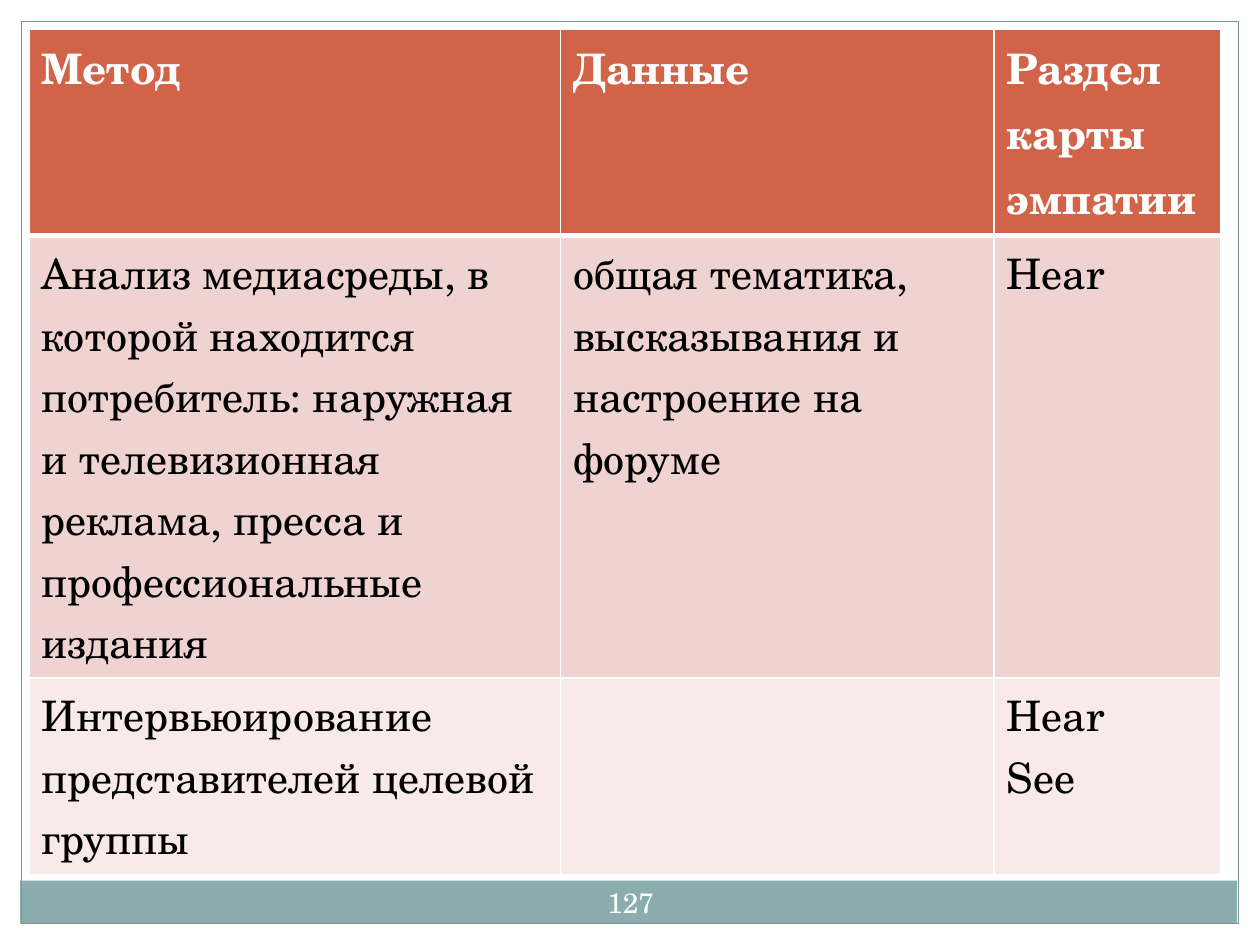
from typing import NamedTuple

from lxml.etree import SubElement
from pptx import Presentation
from pptx.dml.color import RGBColor
from pptx.enum.shapes import MSO_SHAPE as Preset
from pptx.enum.text import MSO_ANCHOR as Anchor, PP_ALIGN as Align
from pptx.oxml.ns import qn
from pptx.util import Inches, Pt

FONT = "TeX Gyre Schola"
WHITE = "FFFFFF"
BLACK = "000000"
TEAL = "8CADAE"
FRAME_TEAL = "7C999A"


class Panel(NamedTuple):
    """A plain rectangle of the slide frame, in inches."""
    left: float
    top: float
    width: float
    height: float
    fill: str | None = None
    line: str | None = None


class Row(NamedTuple):
    """A table row with its look; border widths are in points."""
    height: float
    fill: str
    color: str
    bold: bool
    top_border: float
    bottom_border: float
    texts: tuple[str, ...]


PANELS = [
    Panel(0, 0, 10, 0.17, WHITE),
    Panel(9.83, 0, 0.17, 7.5, WHITE),
    Panel(0, 0, 0.17, 7.5, WHITE),
    Panel(0.16, 6.99, 9.66, 0.34, TEAL),
    Panel(0.17, 0.17, 9.66, 7.16, line=FRAME_TEAL),
]
COLUMN_WIDTHS = (4.22, 3.44, 1.8)
ROWS = [
    Row(1.64, "D16349", WHITE, True, 1, 3,
        ("Метод", "Данные", "Раздел карты эмпатии")),
    Row(3.51, "EED3D0", BLACK, False, 3, 1,
        ("Анализ медиасреды, в которой находится потребитель: наружная и "
         "телевизионная реклама, пресса и профессиональные издания",
         "общая тематика, высказывания и настроение на форуме",
         "Hear")),
    Row(1.56, "F7EAE9", BLACK, False, 1, 1,
        ("Интервьюирование представителей целевой группы", "", "Hear\nSee")),
]


def rgb(color: str) -> RGBColor:
    """Turn a hex string into a colour."""
    return RGBColor.from_string(color)


def format_text(text_frame, size: float, color: str, bold: bool = False) -> None:
    """Set the font of every run in a text frame."""
    for paragraph in text_frame.paragraphs:
        for run in paragraph.runs:
            run.font.name = FONT
            run.font.size = Pt(size)
            run.font.bold = bold
            run.font.color.rgb = rgb(color)


def add_panel(slide, panel: Panel) -> None:
    """Draw one rectangle of the frame."""
    shape = slide.shapes.add_shape(
        Preset.RECTANGLE, *(Inches(length) for length in panel[:4]))
    shape.shadow.inherit = False
    if panel.fill:
        shape.fill.solid()
        shape.fill.fore_color.rgb = rgb(panel.fill)
    else:
        shape.fill.background()
    if panel.line:
        shape.line.color.rgb = rgb(panel.line)
        shape.line.width = Pt(0.75)
    else:
        shape.line.fill.background()


def add_page_number(slide, text: str) -> None:
    """Write the page number centred on the bottom band."""
    box = slide.shapes.add_textbox(
        Inches(4.67), Inches(6.92), Inches(0.67), Inches(0.48))
    text_frame = box.text_frame
    text_frame.word_wrap = True
    text_frame.vertical_anchor = Anchor.MIDDLE
    text_frame.margin_left = text_frame.margin_right = Inches(0.05)
    text_frame.text = text
    text_frame.paragraphs[0].alignment = Align.CENTER
    format_text(text_frame, 16, WHITE)


def add_border(cell, side: str, width: float) -> None:
    """Add a white border on one side (L, R, T or B) of a cell."""
    properties = cell._tc.get_or_add_tcPr()
    line = SubElement(properties, qn(f"a:ln{side}"), w=str(Pt(width)))
    fill = SubElement(line, qn("a:solidFill"))
    SubElement(fill, qn("a:srgbClr"), val=WHITE)


def fill_cell(cell, row: Row, text: str) -> None:
    """Give a cell its borders, fill and text."""
    borders = {"L": 1, "R": 1, "T": row.top_border, "B": row.bottom_border}
    for side, width in borders.items():
        add_border(cell, side, width)
    cell.fill.solid()
    cell.fill.fore_color.rgb = rgb(row.fill)
    cell.text_frame.text = text
    format_text(cell.text_frame, 24, row.color, row.bold)


def add_method_table(slide) -> None:
    """Build the table of methods, data and empathy map sections."""
    table = slide.shapes.add_table(
        len(ROWS), len(COLUMN_WIDTHS), Inches(0.23), Inches(0.23),
        Inches(sum(COLUMN_WIDTHS)), Inches(sum(row.height for row in ROWS))).table
    for column, width in zip(table.columns, COLUMN_WIDTHS):
        column.width = Inches(width)
    for row_index, row in enumerate(ROWS):
        table.rows[row_index].height = Inches(row.height)
        for column_index, text in enumerate(row.texts):
            fill_cell(table.cell(row_index, column_index), row, text)


def main() -> None:
    """Build and save the slide."""
    presentation = Presentation()
    presentation.slide_width = Inches(10)
    presentation.slide_height = Inches(7.5)
    slide = presentation.slides.add_slide(presentation.slide_layouts[6])
    for panel in PANELS:
        add_panel(slide, panel)
    add_page_number(slide, "127")
    add_method_table(slide)
    presentation.save("out.pptx")


main()
